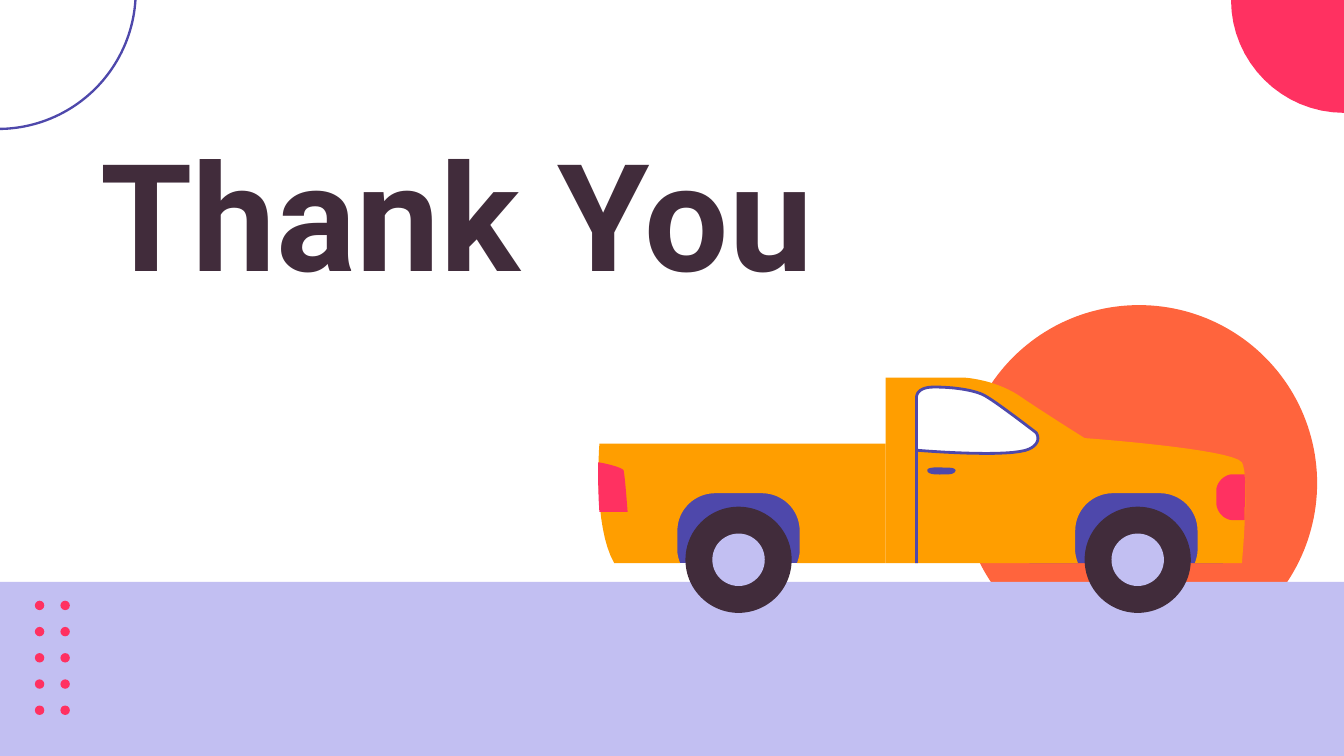
from pptx import Presentation
from pptx.dml.color import RGBColor
from pptx.enum.shapes import MSO_SHAPE
from pptx.enum.text import MSO_ANCHOR, PP_ALIGN
from pptx.util import Inches, Pt

OVAL, RECT = MSO_SHAPE.OVAL, MSO_SHAPE.RECTANGLE
TOP, LEFT = MSO_ANCHOR.TOP, PP_ALIGN.LEFT
COLS, ROWS = 1000, 562.5
CELL = Inches(10) / COLS
STEPS = 16
COLORS = {
    "white": "FFFFFF",
    "orange": "FF643D",
    "lilac": "C2BFF2",
    "pink": "FF3161",
    "indigo": "4E48AB",
    "plum": "412C3B",
    "amber": "FF9E00",
}


def color(name):
    return RGBColor.from_string(COLORS[name])


def paint(sp, fill=None, line=None, width=1.5):
    sp.shadow.inherit = False
    if fill:
        sp.fill.solid()
        sp.fill.fore_color.rgb = color(fill)
    else:
        sp.fill.background()
    if line:
        sp.line.color.rgb = color(line)
        sp.line.width = Pt(width)
    else:
        sp.line.fill.background()


def add_preset(s, kind, box, fill=None, line=None, width=1.5):
    sp = s.shapes.add_shape(kind, *(round(v * CELL) for v in box))
    paint(sp, fill, line, width)


def curve_points(start, curve):
    x0, y0 = start
    x1, y1, x2, y2, x3, y3 = curve
    for i in range(1, STEPS + 1):
        t = i / STEPS
        a, b, c, d = (1 - t) ** 3, 3 * t * (1 - t) ** 2, 3 * t * t * (1 - t), t ** 3
        yield a * x0 + b * x1 + c * x2 + d * x3, a * y0 + b * y1 + c * y2 + d * y3


def add_outline(s, box, path, fill, line=None):
    points = [path[0]]
    for step in path[1:]:
        points += curve_points(points[-1], step) if len(step) == 6 else [step]
    points = [(round((box[0] + x) * CELL), round((box[1] + y) * CELL)) for x, y in points]
    builder = s.shapes.build_freeform(*points[0], scale=1.0)
    builder.add_line_segments(points[1:], close=True)
    paint(builder.convert_to_shape(), fill, line)


def add_dots(s, box, cols=2, rows=5, size=7):
    left, top, width, height = box
    dx, dy = (width - size) / (cols - 1), (height - size) / (rows - 1)
    for col in range(cols):
        for row in range(rows):
            add_preset(s, OVAL, (left + col * dx, top + row * dy, size, size), "pink")


def add_corner(s, box):
    w, h = box[2:]
    k = 0.55
    add_outline(s, box, [(0, 0), (0, k * h, w - k * w, h, w, h), (w, 0)], "pink")


def add_title(s, box, text):
    tf = s.shapes.add_textbox(*(round(v * CELL) for v in box)).text_frame
    tf.word_wrap = True
    tf.vertical_anchor = TOP
    tf.margin_left = tf.margin_right = tf.margin_top = tf.margin_bottom = Inches(0.1)
    p = tf.paragraphs[0]
    p.text = text
    p.alignment = LEFT
    p.font.name, p.font.size, p.font.bold = "Roboto", Pt(80), True
    p.font.color.rgb = color("plum")


def wheel_arch(x):
    return [
        (x + 2, 138), (x + 1, 135, x, 132, x, 129), (x, 114),
        (x, 98, x + 13, 86, x + 28, 86), (x + 63, 86),
        (x + 78, 86, x + 91, 98, x + 91, 114), (x + 91, 129),
        (x + 91, 132, x + 90, 135, x + 89, 138),
    ]


def add_truck(s, box):
    left, top = box[:2]

    def part(kind, x, y, w, h, fill):
        add_preset(s, kind, (left + x, top + y, w, h), fill)

    bed = [(1, 49), (1, 49, -4, 110, 12, 138), *wheel_arch(59), (214, 138), (214, 49)]
    cab = [
        (479, 63), (472, 53, 362, 45, 362, 45), (362, 45, 338, 30, 317, 16),
        (297, 1, 272, 0, 272, 0), (214, 0), (214, 138), *wheel_arch(355),
        (479, 138), (479, 138, 485, 73, 479, 63),
    ]
    window = [
        (237, 54), (237, 15), (237, 15, 236, 7, 250, 7), (264, 7, 279, 9, 287, 13),
        (295, 17, 326, 41, 326, 41), (326, 41, 331, 48, 321, 53),
        (307, 60, 237, 54, 237, 54),
    ]
    tail_light = [
        (19, 69), (18, 67, 7, 64, 0, 63), (0, 72, 0, 86, 1, 100),
        (22, 100), (22, 100, 20, 73, 19, 69),
    ]
    headlight = [
        (460, 84), (460, 93), (460, 100, 466, 106, 472, 106), (481, 106),
        (481, 94, 482, 81, 481, 72), (472, 72), (466, 72, 460, 78, 460, 84),
    ]
    handle = [
        (260, 72), (266, 72, 266, 69, 266, 69), (266, 69, 266, 67, 260, 67),
        (255, 67, 245, 66, 245, 69), (245, 73, 255, 72, 260, 72),
    ]

    part(RECT, 321, 69, 144, 69, "indigo")
    part(RECT, 46, 72, 130, 66, "indigo")
    for body in (bed, cab):
        add_outline(s, box, body, "amber")
    for x in (65, 362):
        part(OVAL, x, 96, 79, 79, "plum")
        part(OVAL, x + 20, 116, 39, 39, "lilac")
    part(RECT, 236, 54, 2, 84, "indigo")
    add_outline(s, box, window, "white", "indigo")
    for light in (tail_light, headlight):
        add_outline(s, box, light, "pink")
    add_outline(s, box, handle, "indigo")


def add_scenery(s, box):
    left, top, width, height = box
    horizon = 433
    add_preset(s, OVAL, (left + 715, top + 227, 265, 265), "orange")
    add_preset(s, RECT, (left, top + horizon, width, height - horizon), "lilac")
    add_dots(s, (left + 26, top + 447, 26, 85))
    add_corner(s, (left + width - 84, top, 84, 84))
    add_preset(s, OVAL, (left - 104, top - 109, 205, 205), line="indigo", width=1.25)


def main():
    prs = Presentation()
    prs.slide_width, prs.slide_height = round(COLS * CELL), round(ROWS * CELL)
    s = prs.slides.add_slide(prs.slide_layouts[6])
    add_scenery(s, (0, 0, COLS, ROWS))
    add_title(s, (65, 81, 699, 259), "Thank You")
    add_truck(s, (445, 281, 482, 175))
    prs.save("out.pptx")


if __name__ == "__main__":
    main()
